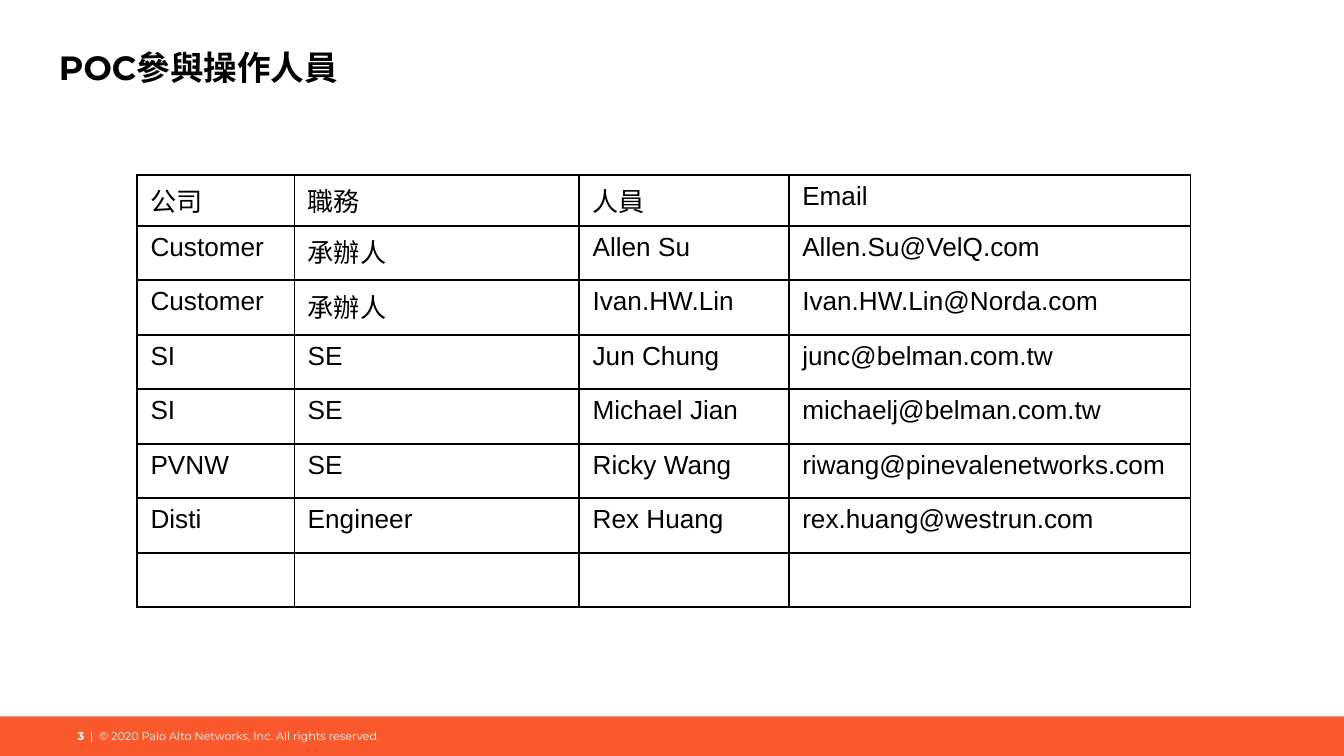
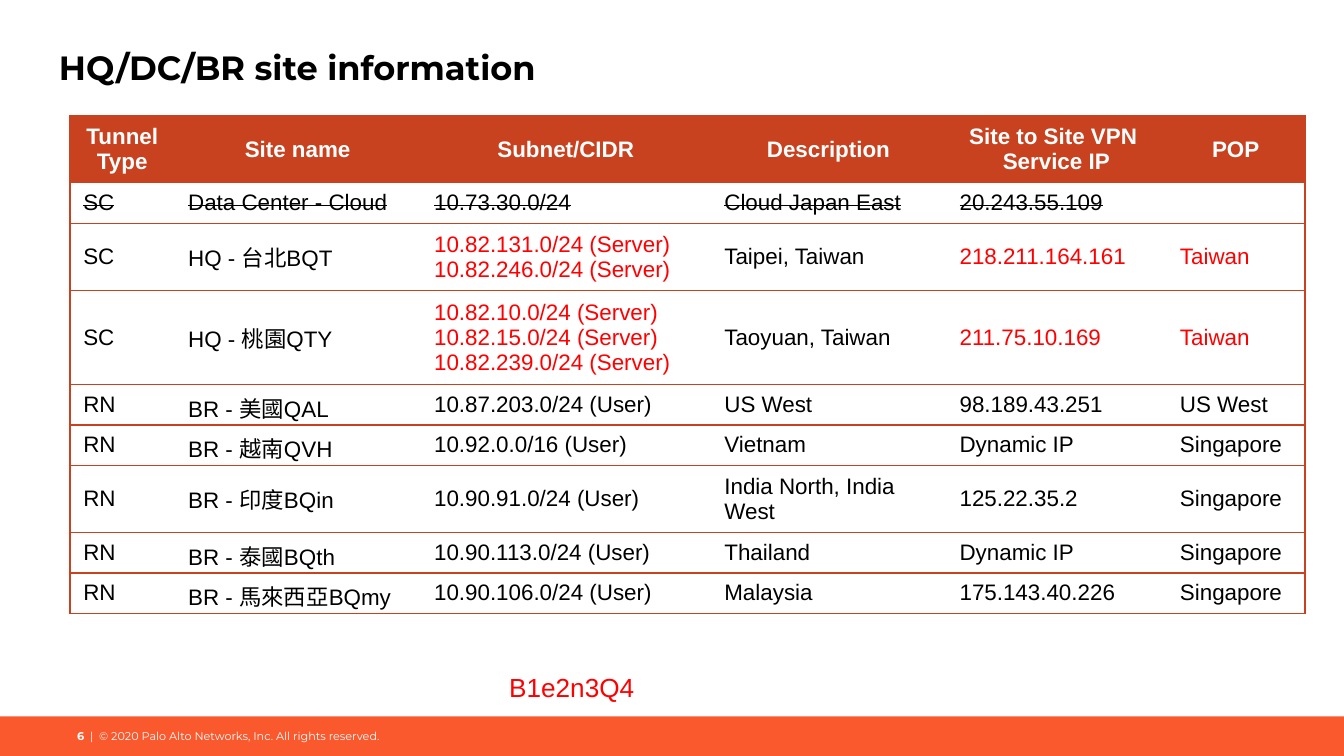
from lxml import etree
from pptx import Presentation
from pptx.dml.color import RGBColor
from pptx.enum.shapes import MSO_SHAPE
from pptx.enum.text import MSO_ANCHOR, MSO_AUTO_SIZE, PP_ALIGN
from pptx.oxml.ns import qn
from pptx.util import Inches, Pt

RECT = MSO_SHAPE.RECTANGLE
TOP, MIDDLE = MSO_ANCHOR.TOP, MSO_ANCHOR.MIDDLE
LEFT, CENTER, RIGHT = PP_ALIGN.LEFT, PP_ALIGN.CENTER, PP_ALIGN.RIGHT
FIT = MSO_AUTO_SIZE.SHAPE_TO_FIT_TEXT

BLACK, WHITE, RED = "000000", "FFFFFF", "FF0000"
ORANGE, RUST = "FA582D", "C8421F"
HEAD, BODY = "Montserrat", "Arial"
RIGHTS = "  |  © 2020 Palo Alto Networks, Inc. All rights reserved."


def write(para, text, size, color=BLACK, font=BODY, bold=False, strike=False):
    """Add one run to the paragraph, or only set its size if there is no text."""
    if not text:
        etree.SubElement(para._p, qn("a:endParaRPr"), sz=str(size * 100))
        return
    run = para.add_run()
    run.text = text
    run.font.size = Pt(size)
    run.font.name = font
    run.font.bold = bold
    run.font.color.rgb = RGBColor.from_string(color)
    if strike:
        run.font._element.set("strike", "sngStrike")


def rule(cell, color, width, sides):
    """Draw the named cell borders and clear the others."""
    props = cell._tc.get_or_add_tcPr()
    for spot, side in enumerate("LRTB"):
        line = etree.Element(qn(f"a:ln{side}"), w=str(Pt(width)))
        if side in sides:
            fill = etree.SubElement(line, qn("a:solidFill"))
            etree.SubElement(fill, qn("a:srgbClr"), val=color)
        else:
            etree.SubElement(line, qn("a:noFill"))
        props.insert(spot, line)


deck = Presentation()
deck.slide_width, deck.slide_height = Inches(10), Inches(10 * 9 / 16)

staff = [
    ["公司", "職務", "人員", "Email"],
    ["Customer", "承辦人", "Allen Su", "Allen.Su@VelQ.com"],
    ["Customer", "承辦人", "Ivan.HW.Lin", "Ivan.HW.Lin@Norda.com"],
    ["SI", "SE", "Jun Chung", "junc@belman.com.tw"],
    ["SI", "SE", "Michael Jian", "michaelj@belman.com.tw"],
    ["PVNW", "SE", "Ricky Wang", "riwang@pinevalenetworks.com"],
    ["Disti", "Engineer", "Rex Huang", "rex.huang@westrun.com"],
    ["", "", "", ""],
]
sites = [
    ["Tunnel Type", "Site name", "Subnet/CIDR", "Description",
     "Site to Site VPN \nService IP", "POP"],
    ["SC", "Data Center - Cloud", "10.73.30.0/24", "Cloud Japan East",
     "20.243.55.109", ""],
    ["SC", "HQ - 台北BQT", "10.82.131.0/24 (Server)\n10.82.246.0/24 (Server)",
     "Taipei, Taiwan", "218.211.164.161", "Taiwan"],
    ["SC", "HQ - 桃園QTY",
     "10.82.10.0/24 (Server)\n10.82.15.0/24 (Server)\n10.82.239.0/24 (Server)",
     "Taoyuan, Taiwan", "211.75.10.169", "Taiwan"],
    ["RN", "BR - 美國QAL", "10.87.203.0/24 (User)", "US West",
     "98.189.43.251", "US West"],
    ["RN", "BR - 越南QVH", "10.92.0.0/16 (User)", "Vietnam",
     "Dynamic IP", "Singapore"],
    ["RN", "BR - 印度BQin", "10.90.91.0/24 (User)", "India North, India West",
     "125.22.35.2", "Singapore"],
    ["RN", "BR - 泰國BQth", "10.90.113.0/24 (User)", "Thailand",
     "Dynamic IP", "Singapore"],
    ["RN", "BR - 馬來西亞BQmy", "10.90.106.0/24 (User)", "Malaysia",
     "175.143.40.226", "Singapore"],
]
# Row heights are minimums; rows grow to hold their text
pages = [
    dict(title="POC參與操作人員", num="3", rows=staff, left=1.02, top=1.3, tall=3.22,
         cols=[1.17, 2.12, 1.56, 2.99], highs=[0.38] + [(3.22 - 0.38) / 7] * 7,
         size=14, edge=BLACK, width=1, anchor=TOP),
    dict(title="HQ/DC/BR site information", num="6", rows=sites,
         left=0.52, top=0.86, tall=3.7,
         cols=[0.78, 1.83, 2.16, 1.75, 1.64, 1.03],
         highs=[0.16] * 2 + [0.27] * 2 + [0.16] * 4 + [0],
         size=12, edge=RUST, width=0.75, anchor=MIDDLE),
]

for page in pages:
    slide = deck.slides.add_slide(deck.slide_layouts[6])
    is_sites = page["rows"] is sites

    # Band, title and footer
    band = slide.shapes.add_shape(RECT, 0, Inches(5.33), Inches(10), Inches(0.3))
    band.shadow.inherit = False
    band.fill.solid()
    band.fill.fore_color.rgb = RGBColor.from_string(ORANGE)
    band.line.fill.background()

    title = slide.shapes.add_textbox(Inches(0.34), Inches(0.25), Inches(9.32), Inches(0.63))
    foot = slide.shapes.add_textbox(Inches(0.34), Inches(5.33), Inches(2.58), Inches(0.3))
    for box in (title, foot):
        frame = box.text_frame
        frame.word_wrap = True
        frame.margin_left = frame.margin_right = Inches(0.1)
        frame.margin_top = frame.margin_bottom = Inches(0.1)
    write(title.text_frame.paragraphs[0], page["title"], 18, font=HEAD, bold=True)
    foot.text_frame.vertical_anchor = MIDDLE
    para = foot.text_frame.paragraphs[0]
    para.alignment = RIGHT
    write(para, page["num"], 6, WHITE, HEAD, bold=True)
    write(para, RIGHTS, 6, WHITE, HEAD)

    # Table
    rows, cols, highs = page["rows"], page["cols"], page["highs"]
    grid = slide.shapes.add_table(
        len(rows), len(cols), Inches(page["left"]), Inches(page["top"]),
        Inches(sum(cols)), Inches(page["tall"]))
    table = grid.table
    table.first_row = is_sites
    table.horz_banding = False
    for col, wide in zip(table.columns, cols):
        col.width = Inches(wide)
    for r, row in enumerate(rows):
        table.rows[r].height = Inches(highs[r])
        for c, text in enumerate(row):
            cell = table.cell(r, c)
            cell.vertical_anchor = page["anchor"]
            is_head = is_sites and r == 0
            color, sides = BLACK, "LRTB"
            if is_sites:
                sides = "TB" + "L" * (c == 0) + "R" * (c == len(cols) - 1)
                if r in (2, 3) and c in (2, 4, 5):
                    color = RED
            if is_head:
                color = WHITE
                cell.fill.solid()
                cell.fill.fore_color.rgb = RGBColor.from_string(RUST)
            else:
                cell.fill.background()
            rule(cell, page["edge"], page["width"], sides)
            for i, line in enumerate(text.split("\n")):
                frame = cell.text_frame
                para = frame.add_paragraph() if i else frame.paragraphs[0]
                para.alignment = CENTER if is_head else LEFT
                write(para, line, page["size"], color, bold=is_head,
                      strike=is_sites and r == 1)
    grid.height = Inches(page["tall"])

# Code below the site table
code = slide.shapes.add_textbox(Inches(3.69), Inches(4.95), Inches(1.14), Inches(0.57))
code.text_frame.word_wrap = False
code.text_frame.auto_size = FIT
write(code.text_frame.paragraphs[0], "B1e2n3Q4", 14, RED)

deck.save("out.pptx")
